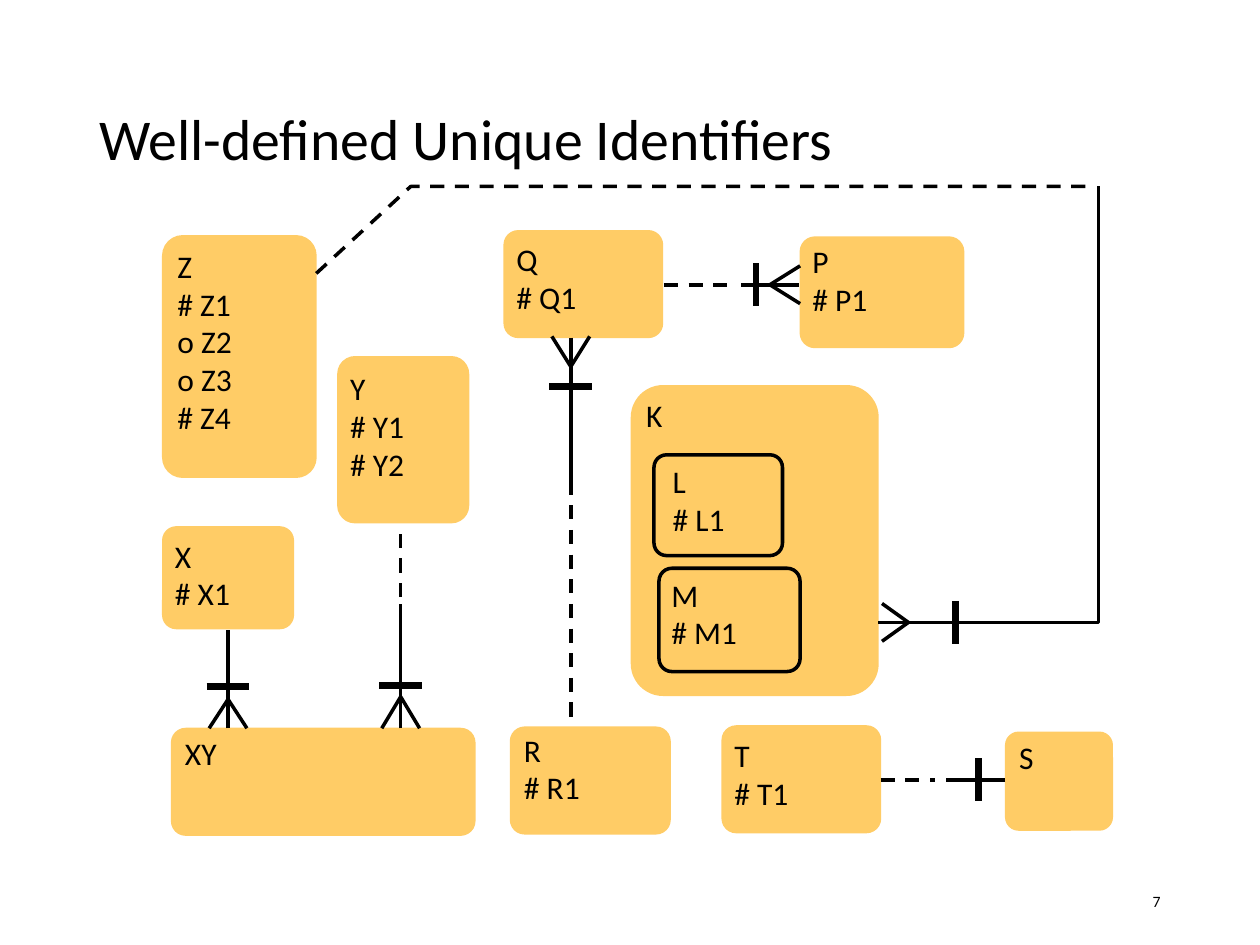
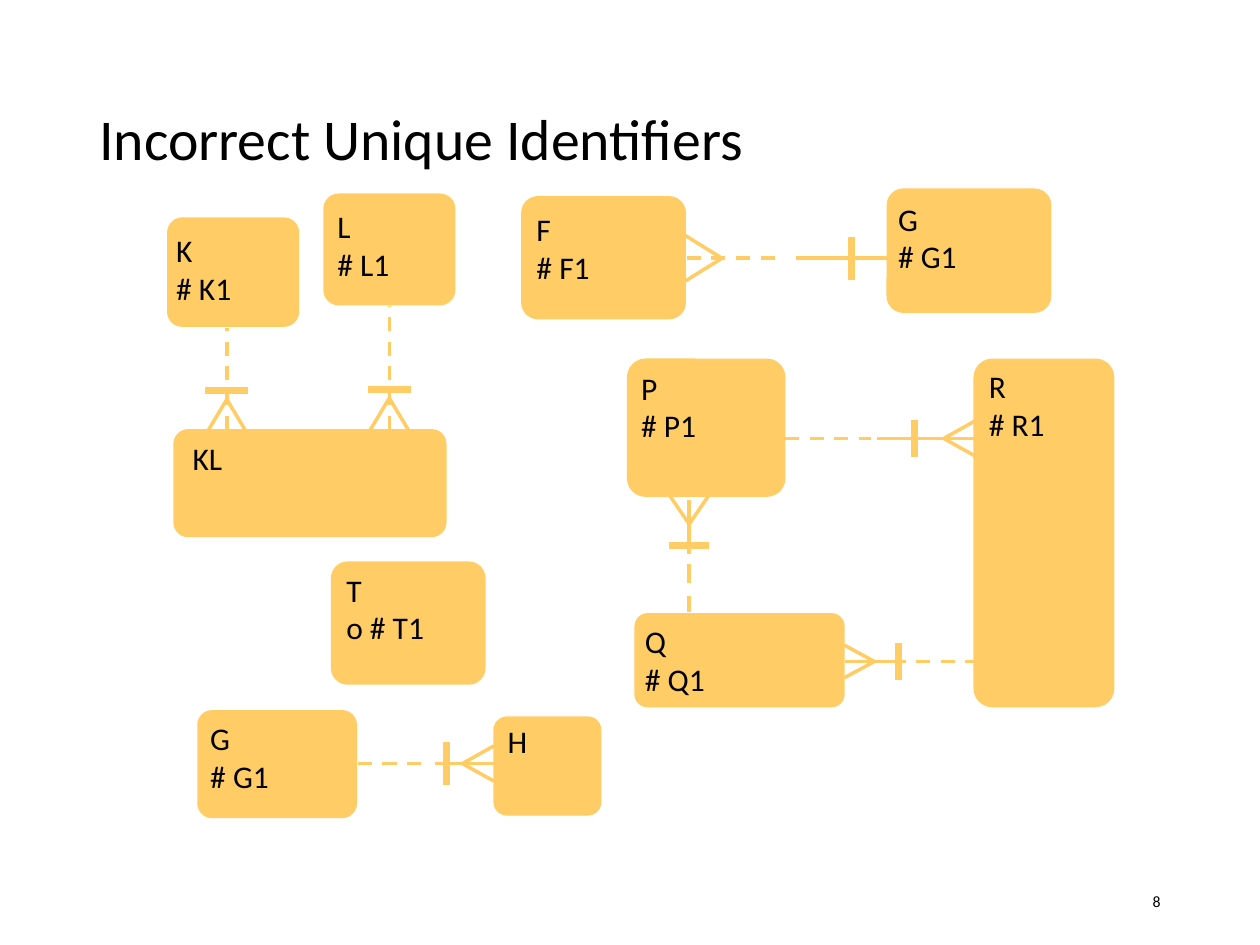
from dataclasses import dataclass
from lxml.etree import SubElement
from pptx import Presentation
from pptx.dml.color import RGBColor
from pptx.enum.dml import MSO_LINE
from pptx.enum.shapes import MSO_CONNECTOR, MSO_SHAPE
from pptx.enum.text import MSO_ANCHOR as Anchor, PP_ALIGN as Align
from pptx.oxml.ns import qn
from pptx.util import Inches, Pt


@dataclass(frozen=True)
class Theme:
    """Colours, type and line weights shared by the slides."""
    font: str = "Calibri"
    ink: RGBColor = RGBColor(0, 0, 0)
    amber: RGBColor = RGBColor(0xFF, 0xCC, 0x66)
    title: int = 33
    label: int = 18
    footer: int = 9
    thin: int = 2
    thick: int = 4


@dataclass(frozen=True)
class Entity:
    """An entity box and the box of its label."""
    lines: str
    box: tuple
    label: tuple
    anchor: Anchor = Anchor.TOP
    outline: RGBColor = None


@dataclass(frozen=True)
class Link:
    """A straight relationship; every span runs along one track."""
    axis: str
    track: float
    bar: float
    foot: tuple = None
    solid: tuple = ()
    dashed: tuple = ()
    foot_half: float = 0.15
    bar_half: float = 0.17


THEME = Theme()
MIDDLE = Anchor.MIDDLE
TITLE_BOX = (0.69, 0.4, 8.62, 1.45)
NUMBER_BOX = (7.06, 6.95, 2.25, 0.4)


def add_text(page, box, text, size, anchor=Anchor.TOP, **formats):
    """Place one paragraph, with line breaks, in a text box."""
    frame = page.shapes.add_textbox(*map(Inches, box)).text_frame
    frame.word_wrap = True
    frame.vertical_anchor = anchor
    para = frame.paragraphs[0]
    para.text = text
    for name, value in formats.items():
        setattr(para, name, value)
    for span in para.runs:
        span.font.color.rgb = THEME.ink
        for name, value in {"name": THEME.font, "size": Pt(size)}.items():
            setattr(span.font, name, value)


def style_line(line, color, weight=THEME.thin, dashed=False):
    """Colour and weigh a line."""
    line.color.rgb = color
    line.width = Pt(weight)
    if dashed:
        line.dash_style = MSO_LINE.DASH


def add_entity(page, entity):
    """Draw a rounded entity box and its label."""
    shape = page.shapes.add_shape(MSO_SHAPE.ROUNDED_RECTANGLE, *map(Inches, entity.box))
    shape.adjustments[0] = 0.125
    shape.shadow.inherit = False
    shape.fill.solid()
    shape.fill.fore_color.rgb = THEME.amber
    style_line(shape.line, entity.outline or THEME.amber)
    add_text(page, entity.label, entity.lines, THEME.label, entity.anchor)


def add_line(page, start, end, color, weight=THEME.thin, dashed=False):
    """Draw a straight connector without a shadow."""
    ends = map(Inches, (*start, *end))
    connector = page.shapes.add_connector(MSO_CONNECTOR.STRAIGHT, *ends)
    style_line(connector.line, color, weight, dashed)
    SubElement(connector._element.spPr, qn("a:effectLst"))


def add_link(page, link, color):
    """Draw the spans, identifying bar and crow's foot of a relationship."""
    def point(along, across=0):
        """Turn track coordinates into slide coordinates."""
        pair = (along, link.track + across)
        return pair if link.axis == "h" else pair[::-1]

    for spans, dashed in ((link.solid, False), (link.dashed, True)):
        for start, end in spans:
            add_line(page, point(start), point(end), color, dashed=dashed)
    half = link.bar_half
    add_line(page, point(link.bar, -half), point(link.bar, half), color, THEME.thick)
    if link.foot:
        tip, base = link.foot
        for side in (-link.foot_half, link.foot_half):
            add_line(page, point(base, side), point(tip), color)


def add_route(page, points, color, dashed=False):
    """Draw an open bent line through the points."""
    start, *rest = [tuple(map(Inches, point)) for point in points]
    builder = page.shapes.build_freeform(*start)
    builder.add_line_segments(rest, close=False)
    route = builder.convert_to_shape()
    route.shadow.inherit = False
    route.fill.background()
    style_line(route.line, color, dashed=dashed)


def add_diagram_page(deck, title, number, entities, links, color):
    """Build a titled, numbered slide holding an entity diagram."""
    page = deck.slides.add_slide(deck.slide_layouts[6])
    add_text(page, TITLE_BOX, title, THEME.title, MIDDLE, line_spacing=0.9)
    add_text(page, NUMBER_BOX, str(number), THEME.footer, MIDDLE, alignment=Align.RIGHT)
    for entity in entities:
        add_entity(page, entity)
    for link in links:
        add_link(page, link, color)
    return page


WELL_DEFINED = [
    Entity("Z\n# Z1\no Z2\no Z3\n# Z4", (1.3, 1.88, 1.2, 1.9), (1.31, 1.91, 1.16, 1.6)),
    Entity("P\n# P1", (6.36, 1.89, 1.28, 0.86), (6.35, 1.87, 1, 0.7)),
    Entity("Q\n# Q1", (4.01, 1.84, 1.24, 0.83), (4, 1.86, 1.09, 0.7)),
    Entity("R\n# R1", (4.06, 5.78, 1.25, 0.83), (4.06, 5.75, 1.05, 0.7)),
    Entity("S", (7.99, 5.82, 0.83, 0.76), (7.99, 5.81, 1, 0.7)),
    Entity("T\n# T1", (5.74, 5.77, 1.24, 0.83), (5.73, 5.79, 1.09, 0.7)),
    Entity("X\n# X1", (1.3, 4.19, 1.02, 0.79), (1.29, 4.21, 1.03, 0.7)),
    Entity("Y\n# Y1\n# Y2", (2.69, 2.84, 1.02, 1.3), (2.68, 2.88, 1.16, 1)),
    Entity("XY", (1.37, 5.79, 2.39, 0.83), (1.37, 5.78, 1.16, 0.4)),
    Entity("K", (5.02, 3.07, 1.94, 2.44), (5.03, 3.09, 1.16, 0.7)),
    Entity("L\n# L1", (5.19, 3.61, 1.02, 0.8), (5.24, 3.62, 1.16, 0.7), outline=THEME.ink),
    Entity("M\n# M1", (5.23, 4.51, 1.12, 0.82), (5.23, 4.52, 1.16, 0.7), outline=THEME.ink),
]
WELL_DEFINED_LINKS = [
    Link("h", 2.26, 6, (6.11, 6.35), [(6.34, 5.88)], [(5.27, 5.78)]),
    Link("v", 4.53, 3.07, (2.91, 2.67), [(2.68, 3.93)], [(4.01, 5.76)]),
    Link("h", 6.19, 7.77, None, [(7.98, 7.51)], [(6.99, 7.42)]),
    Link("v", 3.18, 5.44, (5.53, 5.78), [(5.78, 4.79)], [(4.74, 4.16)]),
    Link("v", 1.81, 5.45, (5.55, 5.78), [(5.78, 5)]),
    Link("h", 4.94, 7.58, (7.21, 7)),
]
INCORRECT = [
    Entity("K\n# K1", (1.34, 1.74, 1.02, 0.84), (1.3, 1.75, 1.07, 0.77), MIDDLE),
    Entity("L\n# L1", (2.58, 1.55, 1.02, 0.86), (2.58, 1.56, 1.04, 0.77), MIDDLE),
    Entity("KL", (1.39, 3.42, 2.14, 0.83), (1.43, 3.42, 1.04, 0.43), MIDDLE),
    Entity("F\n# F1", (4.15, 1.57, 1.28, 0.95), (4.16, 1.58, 1.04, 0.77), MIDDLE),
    Entity("G\n# G1", (7.05, 1.51, 1.28, 0.96), (7.03, 1.5, 1.04, 0.77), MIDDLE),
    Entity("T\no # T1", (2.64, 4.47, 1.2, 0.95), (2.65, 4.48, 1.16, 0.7)),
    Entity("P\n# P1", (4.99, 2.86, 1.23, 1.07), (4.99, 2.89, 0.99, 0.67), MIDDLE),
    Entity("Q\n# Q1", (5.05, 4.88, 1.64, 0.72), (5.02, 4.9, 0.99, 0.67), MIDDLE),
    Entity("R\n# R1", (7.74, 2.86, 1.09, 2.74), (7.75, 2.88, 1.07, 0.67), MIDDLE),
    Entity("H", (3.93, 5.7, 0.83, 0.76), (3.93, 5.68, 1, 0.7)),
    Entity("G\n# G1", (1.58, 5.65, 1.24, 0.83), (1.57, 5.66, 1.09, 0.7)),
]
INCORRECT_LINKS = [
    Link("v", 1.8, 3.1, (3.17, 3.42), dashed=[(3.41, 2.6)]),
    Link("v", 3.09, 3.09, (3.16, 3.41), dashed=[(3.41, 2.43)]),
    Link("h", 2.05, 6.76, (5.73, 5.44), [(7.04, 6.32)], [(5.45, 6.23)], 0.18),
    Link("h", 5.25, 7.13, (6.94, 6.7), [(6.71, 7.19)], [(7.27, 7.73)], 0.13, 0.15),
    Link("h", 3.48, 7.26, (7.49, 7.74), [(7.73, 6.96)], [(6.23, 6.91)], 0.14, 0.15),
    Link("v", 5.47, 4.33, (4.16, 3.94), [(3.97, 4.4), (4.48, 4.63), (4.73, 4.86)],
         bar_half=0.16),
    Link("h", 6.06, 3.54, (3.67, 3.92), [(3.92, 3.45)], [(2.84, 3.36)], 0.14),
]


def build_deck():
    """Build both slides and save the deck."""
    deck = Presentation()
    deck.slide_width, deck.slide_height = Inches(10), Inches(7.5)
    page = add_diagram_page(deck, "Well-defined Unique Identifiers", 7,
                            WELL_DEFINED, WELL_DEFINED_LINKS, THEME.ink)
    add_route(page, [(2.51, 2.17), (3.26, 1.48), (8.69, 1.48)], THEME.ink, dashed=True)
    add_route(page, [(6.97, 4.94), (8.72, 4.94), (8.72, 1.48)], THEME.ink)
    add_diagram_page(deck, "Incorrect Unique Identifiers", 8,
                     INCORRECT, INCORRECT_LINKS, THEME.amber)
    deck.save("out.pptx")


build_deck()
